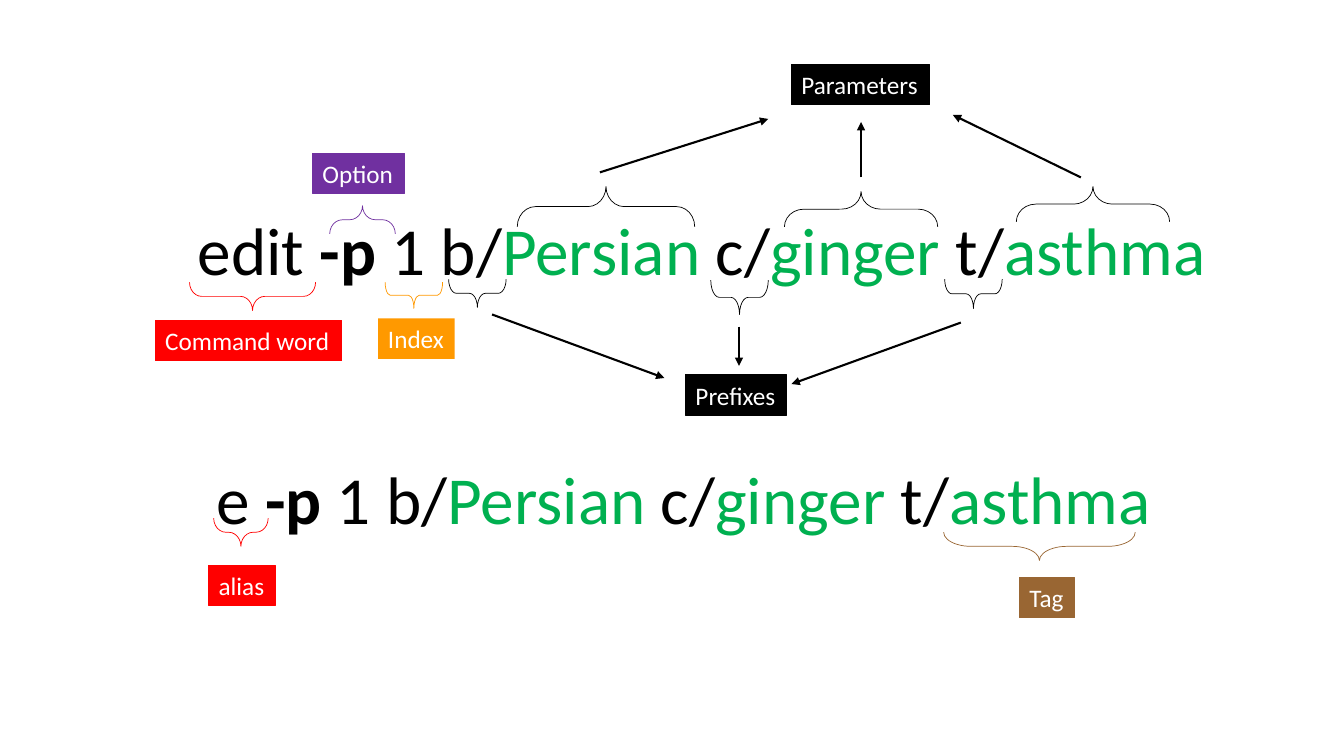
from lxml import etree
from pptx import Presentation
from pptx import util as u
from pptx.dml.color import RGBColor
from pptx.enum import shapes, text
from pptx.oxml.ns import qn

PX = 9144  # EMU per px, 100 px to the inch
LABEL_HEIGHT = 40
COLORS = {
    "black": "000000", "white": "FFFFFF", "red": "FF0000", "purple": "7030A0",
    "orange": "FF9900", "green": "00B050", "brown": "996633",
}
# text, colour, bold
ARGUMENTS = [
    ("-p ", "black", True), ("1 b/", "black", False), ("Persian", "green", False),
    (" c/", "black", False), ("ginger ", "green", False),
    ("t/", "black", False), ("asthma", "green", False),
]


def color(name):
    return RGBColor.from_string(COLORS[name])


def emu(*lengths):
    return [u.Emu(length * PX) for length in lengths]


def add_run(paragraph, words, size=18, fill="black", bold=False):
    run = paragraph.add_run()
    run.text = words
    run.font.name = "Calibri"
    run.font.size = u.Pt(size)
    run.font.bold = bold
    run.font.color.rgb = color(fill)


def add_command(slide, box, name):
    """One centred command line: its name, then the shared arguments."""
    frame = slide.shapes.add_textbox(*emu(*box)).text_frame
    frame.word_wrap = True
    frame.vertical_anchor = text.MSO_ANCHOR.BOTTOM
    paragraph = frame.paragraphs[0]
    paragraph.alignment = text.PP_ALIGN.CENTER
    paragraph.line_spacing = 0.9
    for words, fill, bold in [(name, "black", False), *ARGUMENTS]:
        add_run(paragraph, words, size=48, fill=fill, bold=bold)


def add_label(slide, left, top, width, words, fill, outlined=True):
    shape = slide.shapes.add_shape(
        shapes.MSO_SHAPE.RECTANGLE, *emu(left, top, width, LABEL_HEIGHT))
    shape.shadow.inherit = False
    shape.fill.solid()
    shape.fill.fore_color.rgb = color(fill)
    if outlined:
        shape.line.color.rgb = color(fill)
        shape.line.width = u.Pt(0.75)
    else:
        shape.line.fill.background()
    frame = shape.text_frame
    frame.word_wrap = False
    frame.auto_size = text.MSO_AUTO_SIZE.SHAPE_TO_FIT_TEXT
    frame.vertical_anchor = text.MSO_ANCHOR.TOP
    frame.paragraphs[0].alignment = text.PP_ALIGN.LEFT
    add_run(frame.paragraphs[0], words, fill="white")


def add_brace(slide, left, top, span, depth, curve, fill, rotation):
    """Brace filling a span by depth box; rotation 90 points up, 270 down."""
    shift = (span - depth) / 2
    shape = slide.shapes.add_shape(
        shapes.MSO_SHAPE.LEFT_BRACE,
        *[u.Emu(round(length * PX)) for length in (left + shift, top - shift, depth, span)])
    shape.rotation = rotation
    shape.adjustments[0] = curve
    shape.shadow.inherit = False
    shape.fill.background()
    shape.line.color.rgb = color(fill)
    shape.line.width = u.Pt(0.5)


def add_arrow(slide, start_x, start_y, end_x, end_y):
    connector = slide.shapes.add_connector(
        shapes.MSO_CONNECTOR.STRAIGHT, *emu(start_x, start_y, end_x, end_y))
    connector.line.color.rgb = color("black")
    connector.line.width = u.Pt(1.5)
    etree.SubElement(connector.line._get_or_add_ln(), qn("a:tailEnd"), type="triangle")
    etree.SubElement(connector._element.spPr, qn("a:effectLst"))


def add_annotations(slide, left, top, braces, labels, arrows=()):
    """Place marks given relative to the region's left and top."""
    for x, y, *rest in braces:
        add_brace(slide, left + x, top + y, *rest)
    for x, y, *rest in labels:
        add_label(slide, left + x, top + y, *rest)
    for start_x, start_y, end_x, end_y in arrows:
        add_arrow(slide, left + start_x, top + start_y, left + end_x, top + end_y)


def full_command(slide, left, top):
    add_command(slide, (left + 13, top + 107, 1166, 136), "edit ")
    add_annotations(
        slide, left, top,
        braces=[
            (88, 230, 125, 28, 0.43, "red", 270),
            (227, 154, 65, 28, 0.45, "purple", 90),
            (282, 230, 57, 26, 0.2, "orange", 270),
            (345, 227, 57, 28, 0.28, "black", 270),
            (605, 228, 57, 34, 0.25, "black", 270),
            (837, 227, 57, 29, 0.25, "black", 270),
            (413, 135, 176, 40, 0.45, "black", 90),
            (678, 140, 152, 35, 0.55, "black", 90),
            (908, 135, 152, 35, 0.55, "black", 90),
        ],
        labels=[
            (54, 268, 185, "Command word", "red"),
            (210, 102, 91, "Option", "purple"),
            (275, 266, 76, "Index", "orange", False),
            (580, 322, 100, "Prefixes", "black"),
            (685, 14, 137, "Parameters", "black"),
        ],
        arrows=[
            (388, 262, 559, 325), (633, 274, 633, 313), (853, 270, 685, 331),
            (495, 121, 662, 68), (754, 126, 754, 71), (972, 126, 845, 64),
        ])


def alias_command(slide, left, top):
    add_command(slide, (left + 78, top + 4, 1000, 136), "e ")
    add_annotations(
        slide, left, top,
        braces=[
            (112, 114, 54, 28, 0.43, "red", 270),
            (836, 128, 190, 28, 0.97, "brown", 270),
        ],
        labels=[
            (107, 161, 66, "alias", "red"),
            (911, 173, 55, "Tag", "brown"),
        ])


def main():
    presentation = Presentation()
    presentation.slide_width, presentation.slide_height = emu(1333, 750)
    slide = presentation.slides.add_slide(presentation.slide_layouts[6])
    full_command(slide, 100, 50)
    alias_command(slide, 100, 400)
    presentation.save("out.pptx")


if __name__ == "__main__":
    main()
